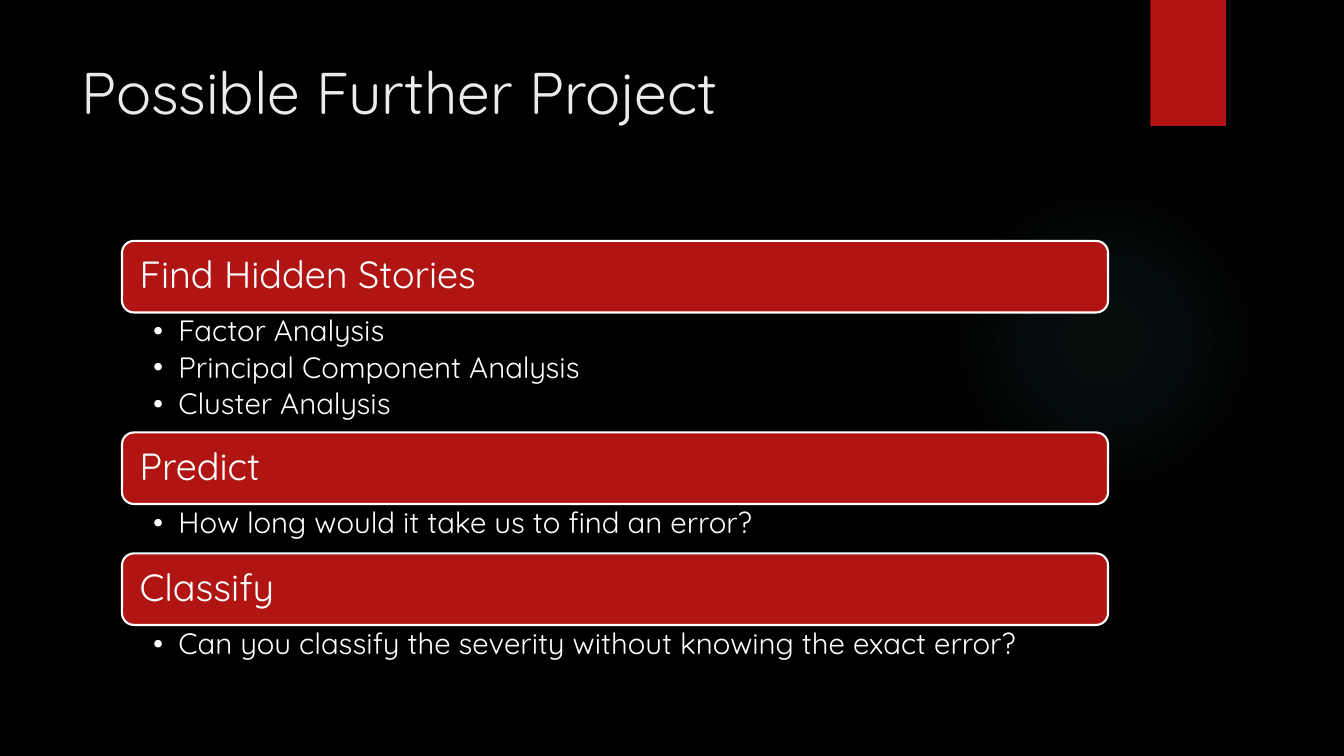
from dataclasses import dataclass

from lxml import etree
from pptx import Presentation
from pptx.dml.color import RGBColor as Rgb
from pptx.enum.shapes import MSO_SHAPE as Kind
from pptx.enum.text import MSO_ANCHOR as Anchor, MSO_AUTO_SIZE as Fit, PP_ALIGN as Align
from pptx.oxml import parse_xml
from pptx.oxml.ns import qn
from pptx.util import Inches, Pt


@dataclass(frozen=True)
class Theme:
    font: str = "Quicksand"
    back: str = "000000"
    red: str = "B01513"
    white: str = "FFFFFF"
    pale: str = "EBEBEB"
    glow: str = "50B9C1"
    title: float = 42
    head: float = 27
    item: float = 21


THEME = Theme()
BAR = 0.71
ROW = 0.35
PAD = 0.14

TOPICS = [
    ("Find Hidden Stories",
     ["Factor Analysis", "Principal Component Analysis", "Cluster Analysis"]),
    ("Predict", ["How long would it take us to find an error?"]),
    ("Classify", ["Can you classify the severity without knowing the exact error?"]),
]


def assign(obj, form):
    for name, value in form.items():
        setattr(obj, name, value)


def place(shape, box):
    assign(shape, dict(zip(("left", "top", "width", "height"), map(Inches, box))))


def write(shape, lines, size, color, inset, anchor, para):
    """Fill a shape with paragraphs that share one format."""
    frame = shape.text_frame
    frame.text = "\n".join(lines)
    sides = ("margin_left", "margin_top", "margin_right", "margin_bottom")
    assign(frame, dict(zip(sides, map(Inches, inset))))
    assign(frame, {"word_wrap": True, "auto_size": Fit.NONE, "vertical_anchor": anchor})
    for par in frame.paragraphs:
        assign(par, {"alignment": Align.LEFT, "space_before": Pt(0), **para})
        for run in par.runs:
            assign(run.font, {"name": THEME.font, "size": Pt(size), "bold": False})
            run.font.color.rgb = Rgb.from_string(color)


def block(slide, kind, box, color, edge=None):
    shape = slide.shapes.add_shape(kind, *map(Inches, box))
    shape.shadow.inherit = False
    shape.fill.solid()
    shape.fill.fore_color.rgb = Rgb.from_string(color)
    if edge:
        shape.line.color.rgb = Rgb.from_string(edge)
        shape.line.width = Pt(1.5)
    else:
        shape.line.fill.background()
    return shape


def add_glow(slide, box):
    """Soft radial light behind everything else."""
    shape = block(slide, Kind.OVAL, box, THEME.glow)
    stops = "".join(
        f'<a:gs pos="{pos * 1000}"><a:srgbClr val="{THEME.glow}">'
        f'<a:alpha val="{alpha * 1000}"/></a:srgbClr></a:gs>'
        for pos, alpha in ((0, 7), (36, 6), (69, 0), (100, 0)))
    grad = parse_xml(
        '<a:gradFill xmlns:a="http://schemas.openxmlformats.org/drawingml/2006/main">'
        f'<a:gsLst>{stops}</a:gsLst><a:path path="circle">'
        '<a:fillToRect l="50000" t="50000" r="50000" b="50000"/></a:path></a:gradFill>')
    props = shape.element.spPr
    props.replace(props.find(qn("a:solidFill")), grad)
    slide.shapes._spTree.insert(2, shape.element)


def add_title(slide, box, text):
    title = slide.shapes.title
    place(title, box)
    write(title, [text], THEME.title, THEME.pale, (0.1, 0.05, 0.1, 0.05), Anchor.TOP, {})


def add_list(body, box, items):
    place(body, box)
    write(body, items, THEME.item, THEME.white, (0.31, 0.04, 0.21, 0.04), Anchor.TOP,
          {"level": 1, "line_spacing": 0.9, "space_after": Pt(3.2)})
    for par in body.text_frame.paragraphs:
        props = par._p.get_or_add_pPr()
        props.set("marL", str(Inches(0.25)))
        props.set("indent", str(-Inches(0.25)))
        etree.SubElement(props, qn("a:buFont")).set("typeface", THEME.font)
        etree.SubElement(props, qn("a:buChar")).set("char", "•")


def add_topics(slide, box, topics):
    """Stack a red bar and its list for each topic."""
    left, top, width = box
    bodies = [hold for hold in slide.placeholders if hold.placeholder_format.idx]
    for body, (head, items) in zip(bodies, topics):
        bar = block(slide, Kind.ROUNDED_RECTANGLE, (left, top, width, BAR),
                    THEME.red, THEME.white)
        write(bar, [head], THEME.head, THEME.white, (PAD,) * 4, Anchor.MIDDLE,
              {"line_spacing": 0.9})
        top += BAR
        high = PAD + ROW * len(items)
        add_list(body, (left, top, width, high), items)
        top += high
    for spare in bodies[len(topics):]:
        spare.element.getparent().remove(spare.element)


def build_slide(deck):
    # The comparison layout offers a body placeholder for each list
    slide = deck.slides.add_slide(deck.slide_layouts.get_by_name("Comparison"))
    fill = slide.background.fill
    fill.solid()
    fill.fore_color.rgb = Rgb.from_string(THEME.back)

    # Decoration
    add_glow(slide, (9.41, 1.83, 3.08, 3.08))
    block(slide, Kind.RECTANGLE, (11.41, 0, 0.75, 1.25), THEME.red)

    # Content
    add_title(slide, (0.71, 0.5, 10.29, 1.53), "Possible Further Project")
    add_topics(slide, (1.21, 2.39, 9.78), TOPICS)


def main():
    deck = Presentation()
    assign(deck, {"slide_width": Inches(13.33), "slide_height": Inches(7.5)})
    build_slide(deck)
    deck.save("out.pptx")


if __name__ == "__main__":
    main()
